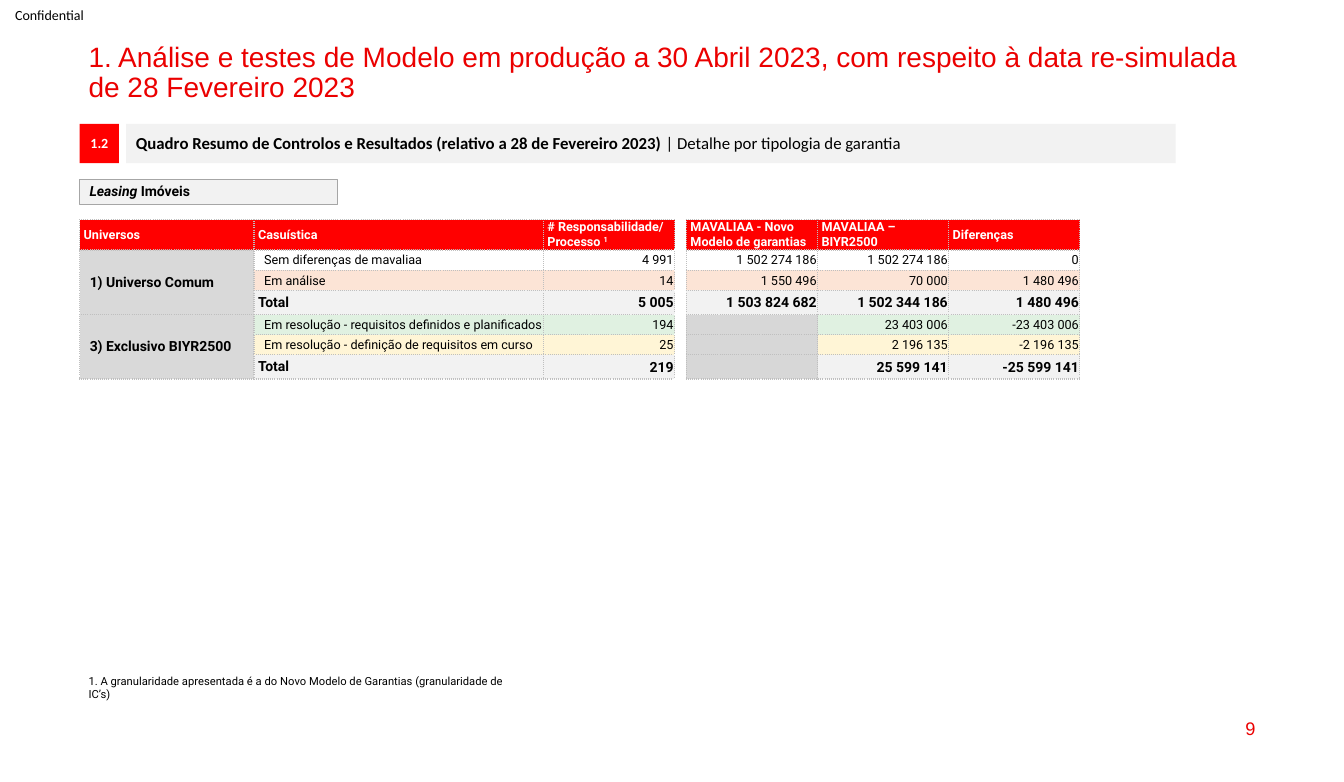
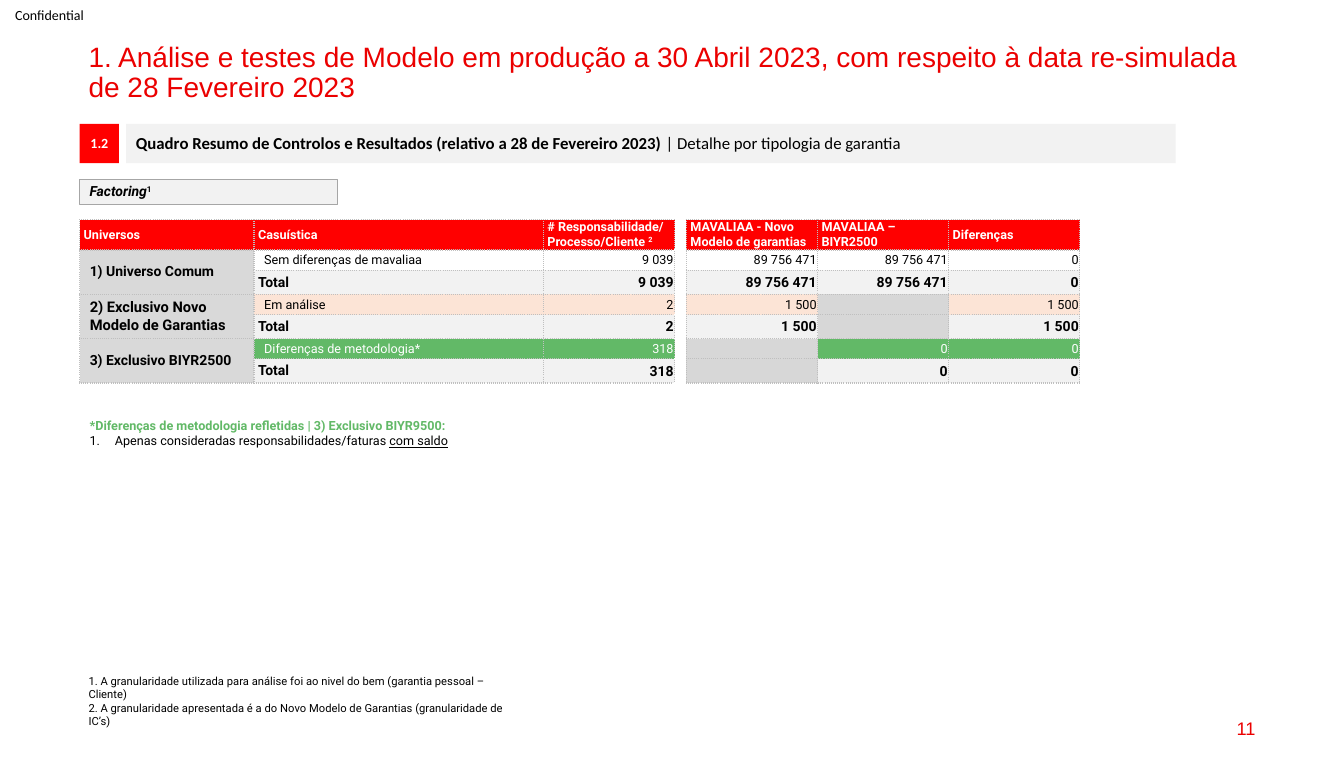
import lxml.etree
import pptx
import pptx.dml.color
import pptx.enum.shapes
import pptx.enum.text
import pptx.oxml
import pptx.oxml.ns
import pptx.util

Inches = pptx.util.Inches
Pt = pptx.util.Pt
Align = pptx.enum.text.PP_ALIGN
Anchor = pptx.enum.text.MSO_ANCHOR
qn = pptx.oxml.ns.qn

COLORS = {
    "title": "EB0000", "red": "FF0000", "band": "F2F2F2", "outline": "A6A6A6",
    "border": "BFBFBF", "universe": "D9D9D9", "empty": "D7D7D7",
    "analysis": "FCE4D6", "planned": "E0F1E1", "ongoing": "FFF5D6",
    "method": "62B967", "white": "FFFFFF", "black": "000000",
}
MARGINS = (0.1, 0.05, 0.1, 0.05)
HEADER_MARGINS = (0.04, 0, 0.04, 0)
NUMBER_MARGINS = (0.01, 0.01, 0.01, 0)
COLUMNS = (1.73, 2.87, 1.3, 0.11, 1.3, 1.3, 1.3)
GAP = 3
HEADER_HEIGHT, CASE_HEIGHT, TOTAL_HEIGHT = 0.26, 0.2, 0.24


def rgb(name):
    return pptx.dml.color.RGBColor.from_string(COLORS[name])


def write(frame, text, size=10, font="Roboto", color="black", bold=False, align=Align.LEFT,
          spacing=None, margins=MARGINS, anchor=Anchor.MIDDLE, numbered=()):
    holder = frame
    if hasattr(frame, "text_frame"):
        holder, frame = frame, frame.text_frame
    if holder is frame:
        frame.word_wrap = True
    holder.vertical_anchor = anchor
    (holder.margin_left, holder.margin_top,
     holder.margin_right, holder.margin_bottom) = map(Inches, margins)
    lines = [text] if isinstance(text, str) else text
    for index, line in enumerate(lines):
        para = frame.paragraphs[0] if index == 0 else frame.add_paragraph()
        para.alignment = align
        if spacing:
            para.line_spacing = spacing
        if index in numbered:
            properties = para._p.get_or_add_pPr()
            properties.set("marL", str(Inches(0.25)))
            properties.set("indent", str(-Inches(0.25)))
            lxml.etree.SubElement(properties, qn("a:buAutoNum"), type="arabicPeriod")
        if not line:
            lxml.etree.SubElement(para._p, qn("a:endParaRPr"), sz=str(size * 100))
            continue
        for words, change in [(line, {})] if isinstance(line, str) else line:
            span = para.add_run()
            span.text = words
            span.font.size = Pt(size)
            span.font.name = font
            span.font.bold = change.get("bold", bold)
            span.font.italic = change.get("italic", False)
            span.font.underline = change.get("underline", False)
            span.font.color.rgb = rgb(change.get("color", color))
            if change.get("superscript"):
                span.font._rPr.set("baseline", "30000")


RAISED = {"superscript": True}
SLIDES = [
    {
        "number": "9",
        "label": [[("Leasing", {"italic": True}), (" Imóveis", {})]],
        "count": ["# Responsabilidade/", [("Processo ", {}), ("1", RAISED)]],
        "groups": [
            ("1) Universo Comum", 10, [
                ("Sem diferenças de mavaliaa", "white", "4 991", "1 502 274 186", "1 502 274 186", "0"),
                ("Em análise", "analysis", "14", "1 550 496", "70 000", "1 480 496"),
                ("Total", "band", "5 005", "1 503 824 682", "1 502 344 186", "1 480 496"),
            ]),
            ("3) Exclusivo BIYR2500", 10, [
                ("Em resolução - requisitos definidos e planificados", "planned",
                 "194", "", "23 403 006", "-23 403 006"),
                ("Em resolução - definição de requisitos em curso", "ongoing",
                 "25", "", "2 196 135", "-2 196 135"),
                ("Total", "band", "219", "", "25 599 141", "-25 599 141"),
            ]),
        ],
        "footnotes": [
            "1. A granularidade apresentada é a do Novo Modelo de Garantias (granularidade de IC’s)",
        ],
        "method": None,
    },
    {
        "number": "11",
        "label": [[("Factoring", {"italic": True}), ("1", RAISED)]],
        "count": ["# Responsabilidade/", [("Processo/Cliente ", {}), ("2", RAISED)]],
        "groups": [
            ("1) Universo Comum", 10, [
                ("Sem diferenças de mavaliaa", "white", "9 039", "89 756 471", "89 756 471", "0"),
                ("Total", "band", "9 039", "89 756 471", "89 756 471", "0"),
            ]),
            (["2) Exclusivo Novo", "Modelo de Garantias"], 10.5, [
                ("Em análise", "analysis", "2", "1 500", "", "1 500"),
                ("Total", "band", "2", "1 500", "", "1 500"),
            ]),
            ("3) Exclusivo BIYR2500", 10, [
                ("Diferenças de metodologia*", "method", "318", "", "0", "0"),
                ("Total", "band", "318", "", "0", "0"),
            ]),
        ],
        "footnotes": [
            "1. A granularidade utilizada para análise foi ao nivel do bem (garantia pessoal – Cliente)",
            "2. A granularidade apresentada é a do Novo Modelo de Garantias (granularidade de IC’s)",
        ],
        "method": [
            [("*Diferenças de metodologia refletidas | 3) Exclusivo BIYR9500:",
              {"color": "method", "bold": True})],
            [("Apenas consideradas responsabilidades/faturas ", {}), ("com saldo", {"underline": True})],
        ],
    },
]

deck = pptx.Presentation()
deck.slide_width = Inches(13.33)
deck.slide_height = Inches(7.76)

for content in SLIDES:
    page = deck.slides.add_slide(deck.slide_layouts[6])

    texts = [
        ((0, 0, 0.99, 0.29), "Confidential",
         {"font": "Calibri", "margins": (0.15, 0, 0, 0)}),
        ((0.78, 0.38, 11.77, 0.34),
         "1. Análise e testes de Modelo em produção a 30 Abril 2023, "
         "com respeito à data re-simulada de 28 Fevereiro 2023",
         {"size": 20, "font": "Arial", "color": "title", "spacing": 0.9, "anchor": Anchor.TOP}),
        ((9.55, 7.02, 3, 0.41), content["number"],
         {"size": 13, "font": "Arial", "color": "title", "align": Align.RIGHT}),
        ((0.78, 6.64, 4.34, 0.24), content["footnotes"], {"size": 8, "anchor": Anchor.TOP}),
    ]
    if content["method"]:
        texts.append(((0.79, 4.1, 10.55, 1.5), content["method"],
                      {"size": 9, "anchor": Anchor.TOP, "numbered": (1,)}))
    for place, text, style in texts:
        box = page.shapes.add_textbox(*map(Inches, place))
        write(box.text_frame, text, **style)

    bands = [
        ((0.79, 1.23, 0.39, 0.39), "red", None, "1.2",
         {"font": "Calibri", "color": "white", "bold": True, "align": Align.CENTER}),
        ((1.25, 1.23, 10.41, 0.39), "band", None,
         [[("Quadro Resumo de Controlos e Resultados (relativo a 28 de Fevereiro 2023)", {"bold": True}),
           (" | Detalhe por tipologia de garantia", {})]],
         {"size": 12, "font": "Calibri"}),
        ((0.79, 1.78, 2.56, 0.25), "band", "outline", content["label"], {"bold": True}),
    ]
    for place, fill, outline, text, style in bands:
        band = page.shapes.add_shape(pptx.enum.shapes.MSO_SHAPE.RECTANGLE, *map(Inches, place))
        band.shadow.inherit = False
        band.fill.solid()
        band.fill.fore_color.rgb = rgb(fill)
        if outline:
            band.line.color.rgb = rgb(outline)
            band.line.width = Pt(0.75)
        else:
            band.line.fill.background()
        write(band.text_frame, text, spacing=0.9, **style)

    cases = [case for name, size, group in content["groups"] for case in group]
    heights = [HEADER_HEIGHT] + [TOTAL_HEIGHT if case[0] == "Total" else CASE_HEIGHT for case in cases]
    table = page.shapes.add_table(
        len(heights), len(COLUMNS), Inches(0.79), Inches(2.18),
        Inches(sum(COLUMNS)), Inches(sum(heights))).table
    table.first_row = False
    table.horz_banding = False
    for column, width in zip(table.columns, COLUMNS):
        column.width = Inches(width)
    for row, height in zip(table.rows, heights):
        row.height = Inches(height)

    headers = ["Universos", "Casuística", content["count"], "",
               "MAVALIAA - Novo Modelo de garantias", "MAVALIAA – BIYR2500", "Diferenças"]
    for index, text in enumerate(headers):
        write(table.cell(0, index), text, size=9, color="white", bold=True, margins=HEADER_MARGINS)

    for row, (case, tint, count, new, old, difference) in enumerate(cases, 1):
        total = case == "Total"
        style = {"size": 10 if total else 9, "bold": total,
                 "color": "white" if tint == "method" else "black"}
        write(table.cell(row, 1), case, margins=HEADER_MARGINS if total else (0.1, 0.01, 0.01, 0), **style)
        for index, value in enumerate((count, "", new, old, difference), 2):
            write(table.cell(row, index), value, align=Align.RIGHT, margins=NUMBER_MARGINS, **style)

    for row in range(len(heights)):
        for index in range(len(COLUMNS)):
            cell = table.cell(row, index)
            if index == GAP:
                cell.fill.background()
            else:
                if row == 0:
                    fill = "red"
                elif index == 0:
                    fill = "universe"
                else:
                    fill = cases[row - 1][1] if cell.text else "empty"
                cell.fill.solid()
                cell.fill.fore_color.rgb = rgb(fill)
            properties = cell._tc.get_or_add_tcPr()
            for order, side in enumerate("LR" if index == GAP else "LRTB"):
                line = lxml.etree.Element(qn("a:ln" + side), w=str(Pt(1)))
                paint = lxml.etree.SubElement(line, qn("a:solidFill"))
                lxml.etree.SubElement(paint, qn("a:srgbClr"), val=COLORS["border"])
                lxml.etree.SubElement(line, qn("a:prstDash"), val="sysDot")
                properties.insert(order, line)

    start = 1
    for name, size, group in content["groups"]:
        end = start + len(group) - 1
        for row in range(start + 1, end + 1):
            write(table.cell(row, 0), "", size=9, margins=NUMBER_MARGINS)
        table.cell(start, 0).merge(table.cell(end, 0))
        write(table.cell(start, 0), name, size=size, bold=True, margins=(0.1, 0, 0.04, 0))
        start = end + 1

deck.save("out.pptx")
